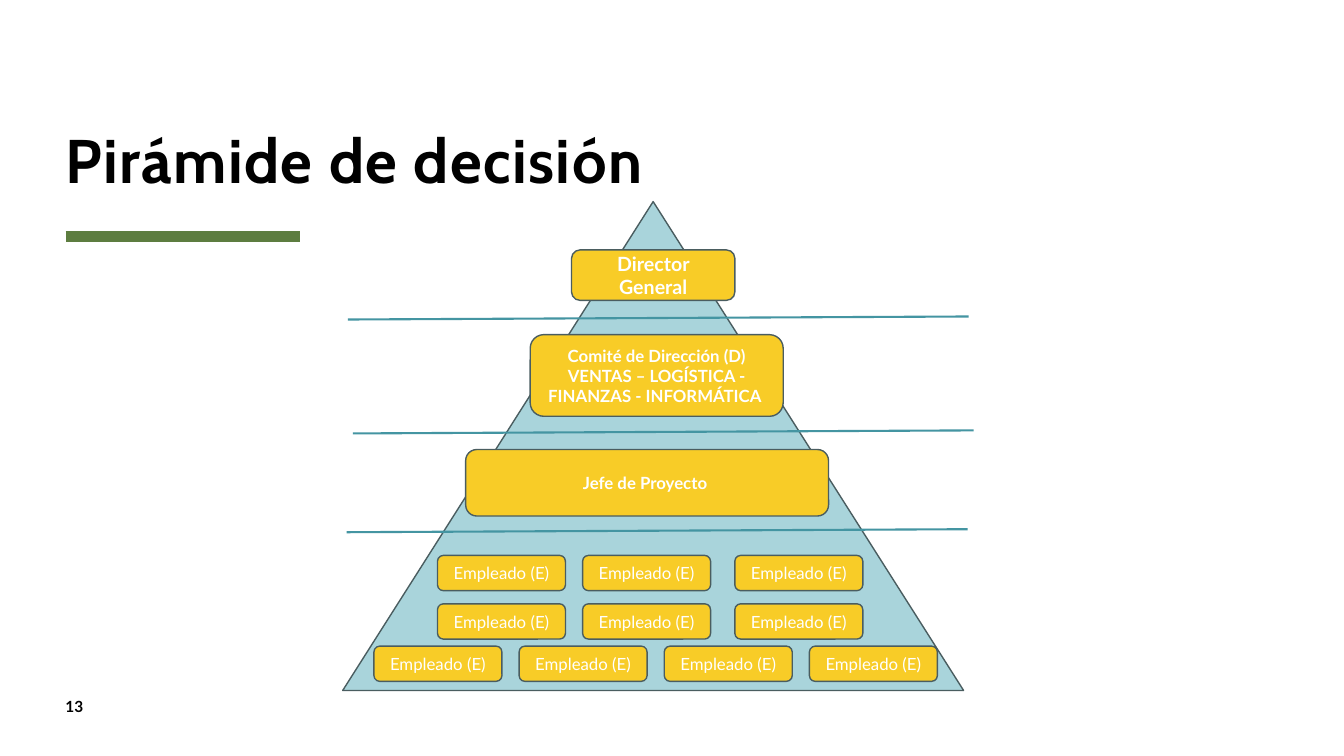
from dataclasses import dataclass

from lxml import etree
from pptx import Presentation
from pptx.dml.color import RGBColor
from pptx.enum.shapes import MSO_CONNECTOR, MSO_SHAPE
from pptx.enum.text import MSO_ANCHOR, PP_ALIGN
from pptx.oxml.ns import qn
from pptx.util import Inches, Pt

STRAIGHT = MSO_CONNECTOR.STRAIGHT
TRIANGLE = MSO_SHAPE.ISOSCELES_TRIANGLE
ROUNDED = MSO_SHAPE.ROUNDED_RECTANGLE
TOP, MIDDLE, BOTTOM = MSO_ANCHOR.TOP, MSO_ANCHOR.MIDDLE, MSO_ANCHOR.BOTTOM
LEFT, CENTER = PP_ALIGN.LEFT, PP_ALIGN.CENTER

BLACK = RGBColor(0x00, 0x00, 0x00)
WHITE = RGBColor(0xFF, 0xFF, 0xFF)
GREEN = RGBColor(0x5D, 0x7D, 0x40)
TEAL = RGBColor(0x44, 0x95, 0xA2)
PALE_TEAL = RGBColor(0xA9, 0xD4, 0xDB)
YELLOW = RGBColor(0xF8, 0xCC, 0x27)
SLATE = RGBColor(0x4A, 0x5D, 0x60)

CELL = Inches(0.1)
COLUMNS, ROWS = 133.33, 75

TITLE_FONT = {"name": "Cabin", "size": Pt(44), "bold": True}
NUMBER_FONT = {"name": "Lato", "size": Pt(11), "bold": True}
DIRECTOR_FONT = {"name": "Lato", "size": Pt(14), "bold": True}
MANAGER_FONT = {"name": "Lato", "size": Pt(12), "bold": True}
EMPLOYEE_FONT = {"name": "Lato", "size": Pt(12), "bold": False}

LEVELS = [
    ((22.7, 4.8, 16.2, 5), ["Director General"], DIRECTOR_FONT),
    ((12.2, 24.6, 36, 6.6), ["Jefe de Proyecto "], MANAGER_FONT),
    ((18.6, 13.2, 25.1, 8.1),
     ["Comité de Dirección (D)", "VENTAS – LOGÍSTICA - FINANZAS - INFORMÁTICA "],
     MANAGER_FONT),
]
EMPLOYEE_COLUMNS = [9.4, 23.8, 38.9]
BASE_COLUMNS = [3.1 + 14.4 * place for place in range(4)]
EMPLOYEE_ROWS = [(44.1, BASE_COLUMNS), (39.9, EMPLOYEE_COLUMNS), (35.1, EMPLOYEE_COLUMNS)]
DIVIDERS = [(0.4, 32.8), (1, 23), (0.5, 11.7)]
DIVIDER_RISE = 0.3


@dataclass
class Box:
    left: float
    top: float
    width: float
    height: float

    def inner(self, left, top, width, height):
        return Box(self.left + left, self.top + top, width, height)

    def lengths(self):
        return [round(side * CELL) for side in (self.left, self.top, self.width, self.height)]


def write(frame, lines, font, color, align, anchor):
    frame.word_wrap = True
    frame.vertical_anchor = anchor
    for index, line in enumerate(lines):
        para = frame.paragraphs[0] if index == 0 else frame.add_paragraph()
        para.alignment = align
        span = para.add_run()
        span.text = line
        for name, value in font.items():
            setattr(span.font, name, value)
        span.font.color.rgb = color


def add_label(page, box, line, font, anchor):
    frame = page.shapes.add_textbox(*box.lengths()).text_frame
    for side in ("left", "top", "right", "bottom"):
        setattr(frame, f"margin_{side}", 0)
    write(frame, [line], font, BLACK, LEFT, anchor)
    return frame.paragraphs[0]


def add_block(page, kind, box, fill):
    block = page.shapes.add_shape(kind, *box.lengths())
    block.shadow.inherit = False
    block.fill.solid()
    block.fill.fore_color.rgb = fill
    block.line.color.rgb = SLATE
    block.line.width = Pt(1)
    return block


def add_rule(page, box, color, weight):
    left, top, width, height = box.lengths()
    rule = page.shapes.add_connector(STRAIGHT, left, top, left + width, top + height)
    rule.line.color.rgb = color
    rule.line.width = Pt(weight)
    etree.SubElement(rule._element.spPr, qn("a:effectLst"))


def draw_heading(page, box):
    add_rule(page, box.inner(0, 21.3, 23.3, 0), GREEN, 8)
    para = add_label(page, box, "Pirámide de decisión", TITLE_FONT, BOTTOM)
    para.line_spacing = 0.8
    para.runs[0].font._element.set("spc", "100")


def draw_pyramid(page, box):
    add_block(page, TRIANGLE, box, PALE_TEAL)
    employees = [
        ((column, row, 12.7, 3.5), ["Empleado (E)"], EMPLOYEE_FONT)
        for row, columns in EMPLOYEE_ROWS for column in columns
    ]
    for place, lines, font in LEVELS + employees:
        block = add_block(page, ROUNDED, box.inner(*place), YELLOW)
        write(block.text_frame, lines, font, WHITE, CENTER, MIDDLE)
    for column, row in DIVIDERS:
        add_rule(page, box.inner(column, row, box.width, -DIVIDER_RISE), TEAL, 1.5)


def main():
    deck = Presentation()
    deck.slide_width = round(COLUMNS * CELL)
    deck.slide_height = ROWS * CELL
    page = deck.slides.add_slide(deck.slide_layouts[6])
    draw_heading(page, Box(6.5, 2.2, 120, 17.2))
    add_label(page, Box(6.5, 69.2, 5.7, 2.7), "13", NUMBER_FONT, TOP)
    draw_pyramid(page, Box(34, 20, 61.6, 48.5))
    deck.save("out.pptx")


if __name__ == "__main__":
    main()
